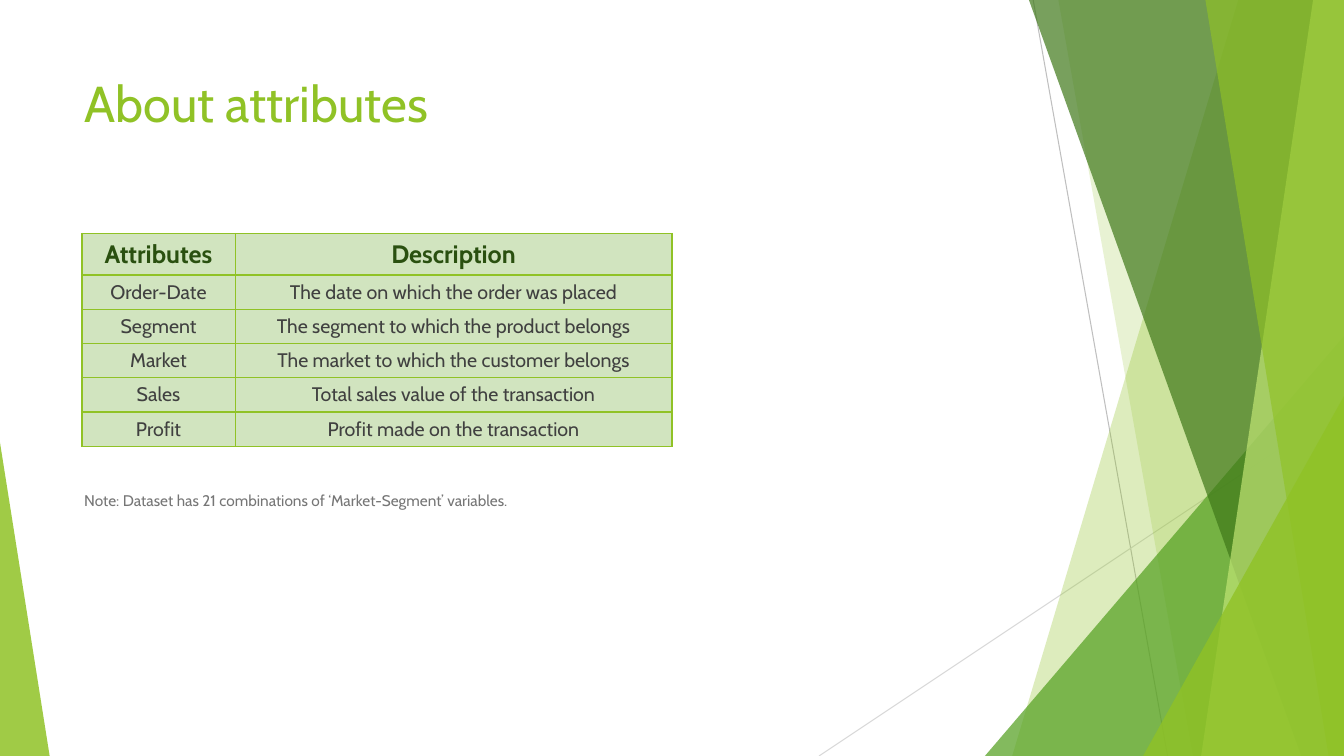
import pptx
import pptx.util
import pptx.dml.color
import pptx.enum.shapes
import pptx.enum.text
import pptx.oxml
import pptx.oxml.ns
import lxml.etree

Pt = pptx.util.Pt
SHAPES = pptx.enum.shapes.MSO_SHAPE
ALIGN = pptx.enum.text.PP_ALIGN
ANCHOR = pptx.enum.text.MSO_ANCHOR
qn = pptx.oxml.ns.qn

FONT = "Cabin"
COLOURS = {
    "lime": "90C226",
    "leaf": "54A021",
    "forest": "3F7819",
    "pale": "C0E474",
    "heading": "2A5010",
    "body": "404040",
    "note": "767676",
    "cell": "D1E4BF",
    "steep_line": "BFBFBF",
    "shallow_line": "D9D9D9",
}
ATTRIBUTES = [
    ("Attributes", "Description"),
    ("Order-Date", "The date on which the order was placed"),
    ("Segment", "The segment to which the product belongs"),
    ("Market", "The market to which the customer belongs"),
    ("Sales", "Total sales value of the transaction"),
    ("Profit", "Profit made on the transaction"),
]


def rgb(name):
    return pptx.dml.color.RGBColor.from_string(COLOURS[name])


def style_font(paragraph, size, colour, bold=False):
    font = paragraph.font
    font.name, font.size, font.bold = FONT, Pt(size), bold
    font.color.rgb = rgb(colour)


def paint(shape, colour, opacity):
    shape.shadow.inherit = False
    shape.line.fill.background()
    shape.fill.solid()
    shape.fill.fore_color.rgb = rgb(colour)
    tint = shape.fill._xPr.find(".//" + qn("a:srgbClr"))
    lxml.etree.SubElement(tint, qn("a:alpha"), val=str(opacity * 1000))


def add_ray(slide, start, end, colour):
    ray = slide.shapes.add_connector(
        pptx.enum.shapes.MSO_CONNECTOR.STRAIGHT, *map(Pt, start + end))
    ray.line.color.rgb = rgb(colour)
    ray.line.width = Pt(0.75)
    lxml.etree.SubElement(ray._element.spPr, qn("a:effectLst"))


def add_wedge(slide, box, apex, colour, opacity):
    wedge = slide.shapes.add_shape(SHAPES.ISOSCELES_TRIANGLE, *map(Pt, box))
    wedge.adjustments[0] = apex
    paint(wedge, colour, opacity)


def add_facets(slide, left, top, width, height):
    right, bottom = left + width, top + height

    def band(top_x, bottom_x, colour, opacity):
        outline = slide.shapes.build_freeform(Pt(left + top_x), Pt(top))
        outline.add_line_segments([
            (Pt(right), Pt(top)), (Pt(right), Pt(bottom)),
            (Pt(left + bottom_x), Pt(bottom))])
        paint(outline.convert_to_shape(), colour, opacity)

    def corner(wide, high, colour, opacity):
        add_wedge(slide, (right - wide, bottom - high, wide, high), 1, colour, opacity)

    add_ray(slide, (left + 153, top), (left + 249, bottom), "steep_line")
    add_ray(slide, (right, top + 290), (left, bottom), "shallow_line")
    band(299.5, 138, "lime", 30)
    band(171, 267, "lime", 20)
    corner(256.5, 300, "leaf", 72)
    band(150, 344.5, "forest", 70)
    band(353, 273, "pale", 70)
    band(276, 364, "lime", 65)
    corner(143.5, 257, "lime", 80)


def add_title(slide, left, top, width, height):
    title = slide.shapes.title
    title.left, title.top, title.width, title.height = map(
        Pt, (left, top, width, height))
    frame = title.text_frame
    frame.text = "About attributes"
    frame.vertical_anchor = ANCHOR.TOP
    frame.paragraphs[0].alignment = ALIGN.LEFT
    style_font(frame.paragraphs[0], 36, "lime")


def add_borders(cell, widths):
    properties = cell._tc.get_or_add_tcPr()
    for position, (side, width) in enumerate(widths.items()):
        border = pptx.oxml.parse_xml(
            f'<a:{side} {pptx.oxml.ns.nsdecls("a")} w="{Pt(width)}"><a:solidFill>'
            f'<a:srgbClr val="{COLOURS["lime"]}"/></a:solidFill></a:{side}>')
        properties.insert(position, border)


def add_attribute_table(slide, left, top, width, height):
    header_height, name_width = 29.6, 109.5
    row_height = (height - header_height) / (len(ATTRIBUTES) - 1)
    table = slide.shapes.add_table(
        len(ATTRIBUTES), 2, *map(Pt, (left, top, width, height))).table
    table.columns[0].width = Pt(name_width)
    table.columns[1].width = Pt(width - name_width)
    for row, texts in enumerate(ATTRIBUTES):
        header = row == 0
        table.rows[row].height = Pt(header_height if header else row_height)
        for column, text in enumerate(texts):
            cell = table.cell(row, column)
            cell.text = text
            cell.vertical_anchor = ANCHOR.MIDDLE
            cell.margin_left = cell.margin_right = Pt(3.6)
            cell.margin_top = cell.margin_bottom = Pt(3.6)
            cell.fill.solid()
            cell.fill.fore_color.rgb = rgb("cell")
            paragraph = cell.text_frame.paragraphs[0]
            paragraph.alignment = ALIGN.CENTER
            style_font(paragraph, 18 if header else 14,
                       "heading" if header else "body", header)
            add_borders(cell, {
                "lnL": 1.5 if column == 0 else 0.75,
                "lnR": 1.5 if column == 1 else 0.75,
                "lnT": 1.5 if row == 1 else 1,
                "lnB": 1.5 if header else 1,
            })


def add_note(slide, left, top, width, height):
    frame = slide.shapes.add_textbox(
        *map(Pt, (left, top, width, height))).text_frame
    frame.word_wrap = True
    frame.text = "Note: Dataset has 21 combinations of ‘Market-Segment’ variables."
    style_font(frame.paragraphs[0], 11, "note")


deck = pptx.Presentation()
deck.slide_width, deck.slide_height = Pt(960), Pt(540)
slide = deck.slides.add_slide(deck.slide_layouts[5])
add_facets(slide, 585, 0, 375, 540)
add_wedge(slide, (0, 316, 35.5, 224), 0, "lime", 85)
add_title(slide, 53, 48, 677, 104)
add_attribute_table(slide, 58.5, 166.8, 421.5, 152)
add_note(slide, 53, 347.5, 528, 21)
deck.save("out.pptx")
